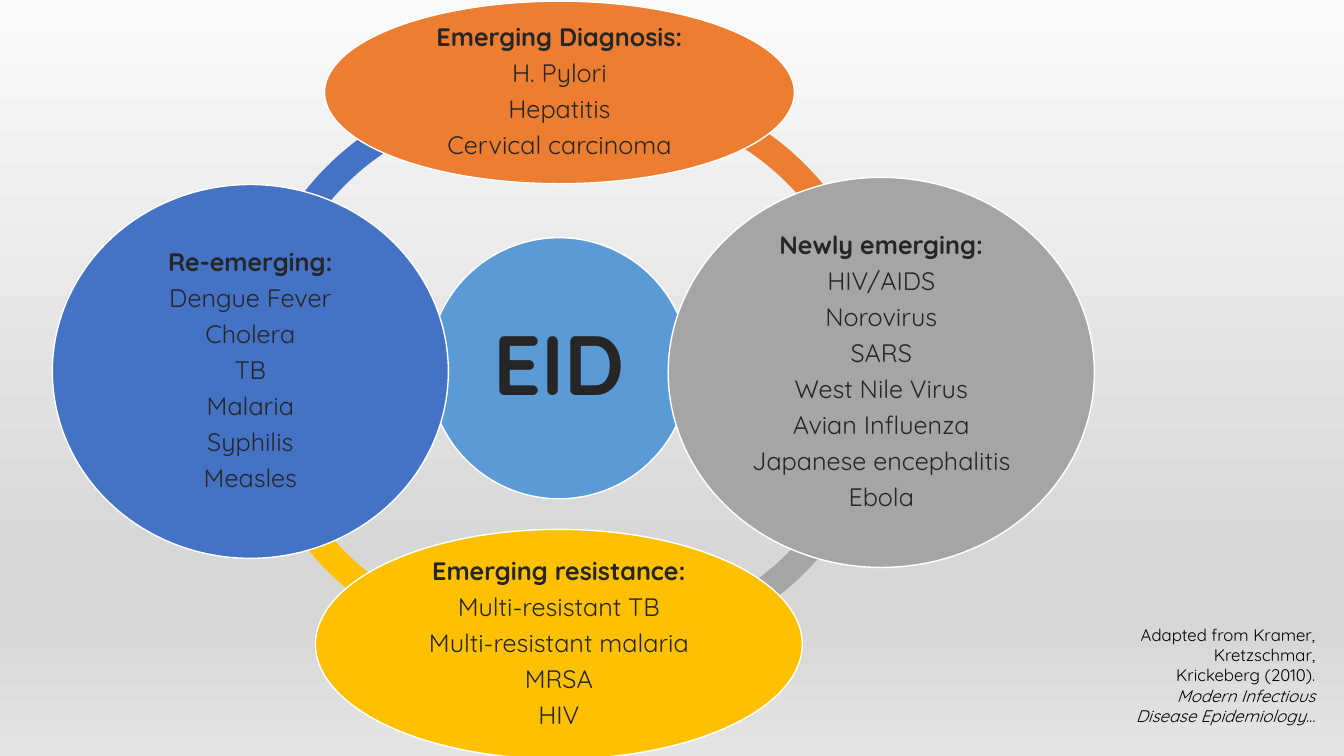
import pptx
import pptx.util
import pptx.dml.color
import pptx.enum.shapes
import pptx.enum.text
import pptx.oxml
from pptx.oxml.ns import nsdecls, qn

Cm, Pt = pptx.util.Cm, pptx.util.Pt
SHAPE = pptx.enum.shapes.MSO_SHAPE
ALIGN = pptx.enum.text.PP_ALIGN
FONT = "Quicksand"
COLORS = {
    "hub": "5B9BD5", "diagnosis": "ED7D31", "newly": "A5A5A5",
    "resistance": "FFC000", "reemerging": "4472C4",
    "outline": "FFFFFF", "text": "262626", "source": "000000",
}
BACKGROUND = [(0, "FAFAFA"), (74, "D7D7D7"), (83, "D7D7D7"), (100, "E4E4E4")]

# Connecting arcs: colour, left, top, start and end of the sweep
ARC_SIZE, ARC_WIDTH = 14.25, 0.046
ARCS = [
    ("reemerging", 4.83, 2.08, 107.324, 166.019),
    ("resistance", 4.83, 2.18, 49.987, 107.793),
    ("newly", 6.81, 2.23, 215.955, 59.786),
    ("diagnosis", 6.81, 2.03, 156.201, 0.929),
]

# Ellipses: colour, left, top, width, height, inset, size, heading, diseases
ELLIPSES = [
    ("hub", 9.48, 5.96, 6.58, 6.58, 0.2, 60, "EID", []),
    ("diagnosis", 6.86, 0, 11.84, 4.6, 0.08, 18, "Emerging Diagnosis:",
     ["H. Pylori", "Hepatitis", "Cervical carcinoma"]),
    ("newly", 15.52, 4.44, 10.74, 9.83, 0.08, 18, "Newly emerging:",
     ["HIV/AIDS", "Norovirus", "SARS", "West Nile Virus", "Avian Influenza",
      "Japanese encephalitis", "Ebola"]),
    ("resistance", 6.63, 13.31, 12.27, 5.79, 0.08, 18, "Emerging resistance:",
     ["Multi-resistant TB", "Multi-resistant malaria", "MRSA", "HIV"]),
    ("reemerging", 0, 4.62, 9.98, 9.42, 0.08, 18, "Re-emerging:",
     ["Dengue Fever", "Cholera", "TB", "Malaria", "Syphilis", "Measles"]),
]


def rgb(name):
    return pptx.dml.color.RGBColor.from_string(COLORS[name])


def add_run(p, text, size, color, bold=False, italic=False):
    r = p.add_run()
    r.text = text
    r.font.name, r.font.size = FONT, Pt(size)
    r.font.bold, r.font.italic = bold, italic
    r.font.color.rgb = rgb(color)


def set_space_after(p, percent):
    p.space_after = Pt(0)
    after = p._p.pPr.find(qn("a:spcAft"))
    after.clear()
    after.append(pptx.oxml.parse_xml(
        f'<a:spcPct {nsdecls("a")} val="{percent * 1000}"/>'))


def add_filled(s, kind, color, left, top, width, height):
    sp = s.shapes.add_shape(kind, Cm(left), Cm(top), Cm(width), Cm(height))
    sp.shadow.inherit = False
    sp.fill.solid()
    sp.fill.fore_color.rgb = rgb(color)
    sp.line.fill.background()
    return sp


def add_background(s):
    fill = s.background.fill
    fill.gradient()
    fill.gradient_angle = 270
    stops = s.background._cSld.find(".//" + qn("a:gsLst"))
    stops.clear()
    for position, color in BACKGROUND:
        stops.append(pptx.oxml.parse_xml(
            f'<a:gs {nsdecls("a")} pos="{position * 1000}">'
            f'<a:srgbClr val="{color}"/></a:gs>'))


def add_ellipse(s, left, top, width, height, color, inset, size, heading, diseases):
    sp = add_filled(s, SHAPE.OVAL, color, left, top, width, height)
    sp.line.color.rgb = rgb("outline")
    sp.line.width = Pt(1)
    tf = sp.text_frame
    tf.word_wrap = True
    tf.vertical_anchor = pptx.enum.text.MSO_ANCHOR.MIDDLE
    tf.margin_left = tf.margin_right = tf.margin_top = tf.margin_bottom = Cm(inset)
    for i, text in enumerate([heading] + diseases):
        p = tf.add_paragraph() if i else tf.paragraphs[0]
        p.alignment = ALIGN.CENTER
        p.line_spacing = 0.9
        set_space_after(p, 35)
        add_run(p, text, size, "text", bold=i == 0)


def add_cycle(s, left, top):
    # Ring of arcs behind the ellipses
    for color, x, y, start, end in ARCS:
        arc = add_filled(s, SHAPE.BLOCK_ARC, color, left + x, top + y,
                         ARC_SIZE, ARC_SIZE)
        for i, value in enumerate((start, end, ARC_WIDTH)):
            arc.adjustments[i] = value
    # Hub and the four categories
    for color, x, y, width, height, *content in ELLIPSES:
        add_ellipse(s, left + x, top + y, width, height, color, *content)


def add_source(s, left, top, width, height):
    tb = s.shapes.add_textbox(Cm(left), Cm(top), Cm(width), Cm(height))
    tf = tb.text_frame
    tf.word_wrap = True
    tf.auto_size = pptx.enum.text.MSO_AUTO_SIZE.SHAPE_TO_FIT_TEXT
    p = tf.paragraphs[0]
    p.alignment = ALIGN.RIGHT
    add_run(p, "Adapted from Kramer, Kretzschmar, Krickeberg (2010). ", 12, "source")
    add_run(p, "Modern Infectious Disease Epidemiology…", 12, "source", italic=True)


def main():
    prs = pptx.Presentation()
    prs.slide_width, prs.slide_height = Cm(33.87), Cm(19.05)
    s = prs.slides.add_slide(prs.slide_layouts[6])
    add_background(s)
    add_cycle(s, 1.32, 0.03)
    add_source(s, 28.12, 15.62, 5.28, 3.33)
    prs.save("out.pptx")


if __name__ == "__main__":
    main()
